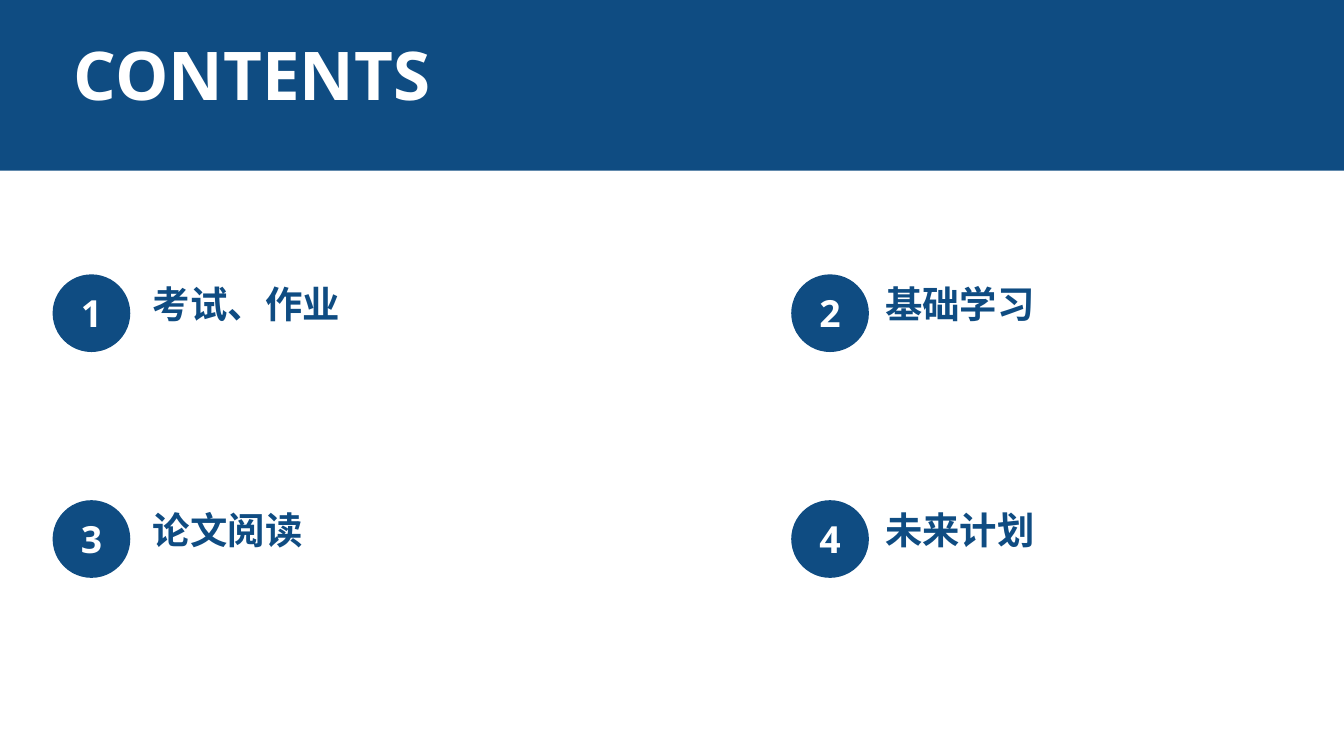
from dataclasses import dataclass

from pptx import Presentation
from pptx.dml.color import RGBColor
from pptx.enum.shapes import MSO_SHAPE as Shape
from pptx.enum.text import MSO_AUTO_SIZE as AutoSize, PP_ALIGN as Align
from pptx.util import Pt


@dataclass(frozen=True)
class Theme:
    blue: RGBColor = RGBColor(0x0F, 0x4C, 0x82)
    white: RGBColor = RGBColor(0xFF, 0xFF, 0xFF)
    font: str = "Open Sans"
    title_size: int = 36
    item_size: int = 20


theme = Theme()
presentation = Presentation()
presentation.slide_width, presentation.slide_height = Pt(720), Pt(405)
slide = presentation.slides.add_slide(presentation.slide_layouts[6])


def add_blue_shape(kind, left, top, width, height):
    shape = slide.shapes.add_shape(kind, Pt(left), Pt(top), Pt(width), Pt(height))
    shape.shadow.inherit = False
    shape.fill.solid()
    shape.fill.fore_color.rgb = theme.blue
    shape.line.fill.background()


def add_label(text, left, top, width, height, size, color, alignment=Align.LEFT):
    box = slide.shapes.add_textbox(Pt(left), Pt(top), Pt(width), Pt(height))
    frame = box.text_frame
    frame.word_wrap = False
    frame.auto_size = AutoSize.SHAPE_TO_FIT_TEXT
    paragraph = frame.paragraphs[0]
    paragraph.alignment = alignment
    run = paragraph.add_run()
    run.text = text
    run.font.color.rgb = color
    font_format = {"name": theme.font, "size": Pt(size), "bold": True}
    for attribute, value in font_format.items():
        setattr(run.font, attribute, value)


add_blue_shape(Shape.RECTANGLE, 0, 0, 720, 9.4)
add_blue_shape(Shape.RECTANGLE, 0, -0.7, 720, 92.2)
add_label("CONTENTS", 32.4, 14.4, 206, 51, theme.title_size, theme.white)

topics = ["考试、作业", "基础学习", "论文阅读", "未来计划"]
columns = [(28.2, 74.9), (423.9, 467.1)]
first_row, row_pitch = 147, 121
circle_size = 41.6
number_width, line_height = 26, 31.5
number_left = (circle_size - number_width) / 2
number_top = (circle_size - line_height) / 2

for index, topic in enumerate(topics):
    row, column = divmod(index, len(columns))
    circle_left, topic_left = columns[column]
    top = first_row + row * row_pitch
    topic_width = 14.4 + theme.item_size * len(topic)
    add_label(topic, topic_left, top, topic_width, line_height, theme.item_size, theme.blue)
    add_blue_shape(Shape.OVAL, circle_left, top, circle_size, circle_size)
    add_label(str(index + 1), circle_left + number_left, top + number_top,
              number_width, line_height, theme.item_size, theme.white, Align.CENTER)

presentation.save("out.pptx")
